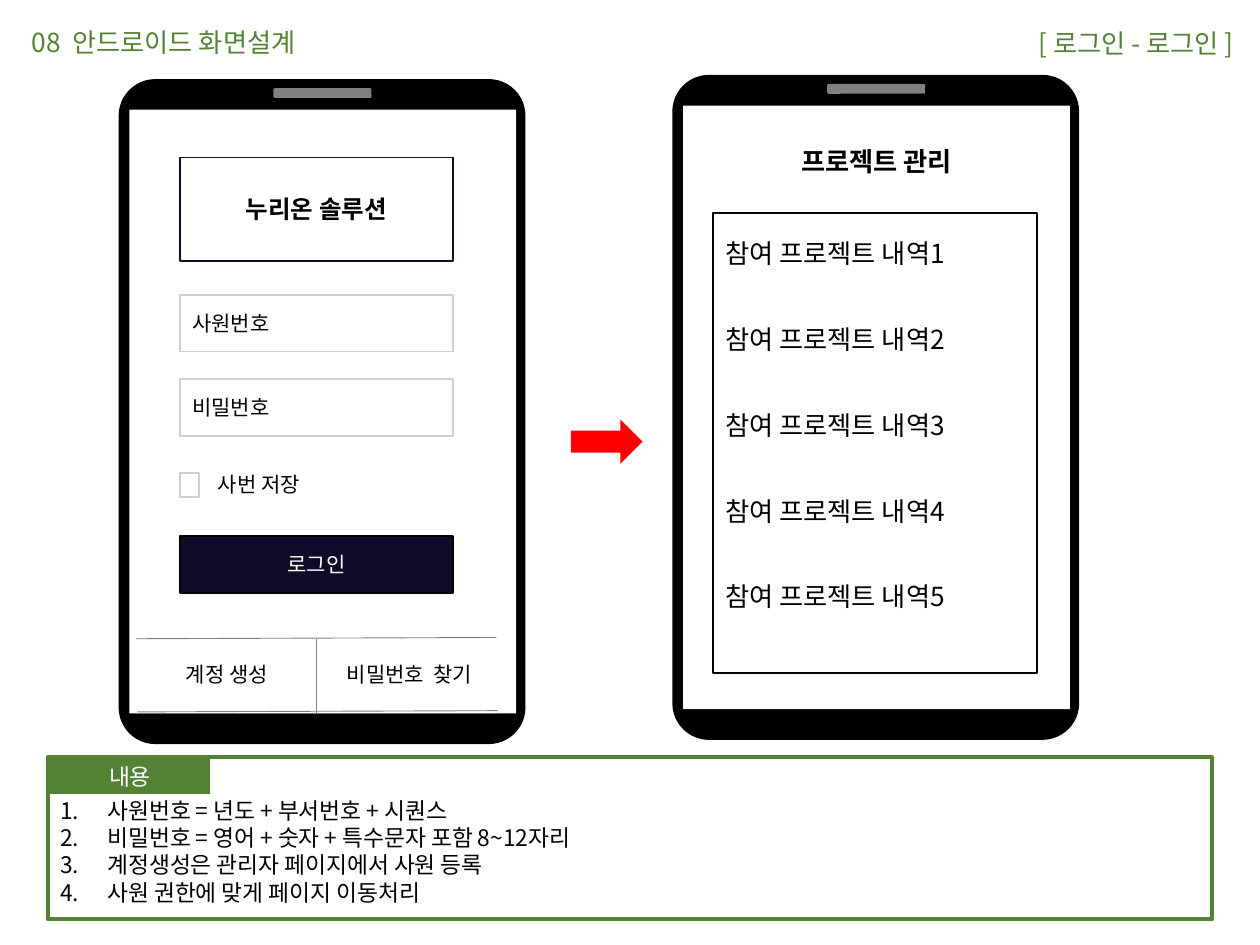
import pptx
import pptx.dml.color
import pptx.enum.shapes
import pptx.enum.text
import pptx.oxml.ns
import pptx.util
from lxml import etree

Pt = pptx.util.Pt
Shapes = pptx.enum.shapes.MSO_SHAPE
Align = pptx.enum.text.PP_ALIGN
Anchor = pptx.enum.text.MSO_ANCHOR
qn = pptx.oxml.ns.qn

NOTO = "Noto Sans CJK KR"
BLACK, WHITE, GREEN = "000000", "FFFFFF", "548235"
NAVY, GRAY, PALE, RED = "0E0C28", "808080", "D0CECE", "FF0000"


def color(value):
    return pptx.dml.color.RGBColor.from_string(value)


class Wireframe:
    def __init__(self, slide, font=NOTO):
        self.slide = slide
        self.font = font

    def fill_text(self, shape, lines, size, ink=BLACK, bold=False, font=None,
                  align=Align.LEFT, anchor=Anchor.MIDDLE, numbered=False, frame_values=None):
        font = font or self.font
        frame = shape.text_frame
        values = {"word_wrap": True, "auto_size": pptx.enum.text.MSO_AUTO_SIZE.NONE,
                  "vertical_anchor": anchor, "margin_left": Pt(7.2), "margin_right": Pt(7.2),
                  "margin_top": Pt(3.6), "margin_bottom": Pt(3.6)}
        values.update(frame_values or {})
        for name, value in values.items():
            setattr(frame, name, value)
        for index, line in enumerate(lines):
            paragraph = frame.paragraphs[0] if index == 0 else frame.add_paragraph()
            paragraph.alignment = align
            if numbered:
                paragraph.line_spacing = Pt(15.6)
                properties = paragraph._p.get_or_add_pPr()
                properties.set("marL", str(Pt(27)))
                properties.set("indent", str(-Pt(27)))
                etree.SubElement(properties, qn("a:buFont"), typeface=font)
                etree.SubElement(properties, qn("a:buAutoNum"), type="arabicPeriod")
            run = paragraph.add_run()
            run.text = line
            for name, value in {"size": Pt(size), "bold": bold, "name": font}.items():
                setattr(run.font, name, value)
            run.font.color.rgb = color(ink)
            etree.SubElement(run._r.get_or_add_rPr(), qn("a:ea"), typeface=font)

    def title(self, text, box, **style):
        shape = self.slide.shapes.title
        for name, value in zip(("left", "top", "width", "height"), box):
            setattr(shape, name, Pt(value))
        self.fill_text(shape, [text], anchor=Anchor.TOP, **style)

    def text(self, text, box, **style):
        shape = self.slide.shapes.add_textbox(*map(Pt, box))
        self.fill_text(shape, [text], anchor=Anchor.TOP, **style)

    def shape(self, box, fill=None, line=None, width=1, kind=Shapes.RECTANGLE,
              lines=(), **style):
        shape = self.slide.shapes.add_shape(kind, *map(Pt, box))
        shape.shadow.inherit = False
        if fill:
            shape.fill.solid()
            shape.fill.fore_color.rgb = color(fill)
        else:
            shape.fill.background()
        if line:
            shape.line.color.rgb = color(line)
            shape.line.width = Pt(width)
        else:
            shape.line.fill.background()
        if lines:
            self.fill_text(shape, lines, **style)
        return shape

    def line(self, start, end, start_shape=None, start_site=2):
        connector = self.slide.shapes.add_connector(
            pptx.enum.shapes.MSO_CONNECTOR.STRAIGHT, *map(Pt, start + end))
        connector.line.color.rgb = color(GRAY)
        connector.line.width = Pt(0.5)
        etree.SubElement(connector._element.spPr, qn("a:effectLst"))
        if start_shape is not None:
            connector.begin_connect(start_shape, start_site)

    def phone(self, left, top):
        body = self.shape((left, top, 232.5, 380), BLACK, kind=Shapes.ROUNDED_RECTANGLE)
        body.adjustments[0] = 0.09
        self.shape((left + 6.2, top + 17.5, 221, 345), WHITE)
        self.shape((left + 88.5, top + 5.2, 56, 5.6), GRAY, kind=Shapes.ROUNDED_RECTANGLE)


def draw_notes(page):
    page.shape((27.3, 432.7, 665.3, 92.6), WHITE, GREEN, 2.25, lines=[
        "사원번호 = 년도 + 부서번호 + 시퀀스",
        "비밀번호 = 영어 + 숫자 + 특수문자 포함 8~12자리",
        "계정생성은 관리자 페이지에서 사원 등록",
        "사원 권한에 맞게 페이지 이동처리",
    ], size=13, numbered=True, anchor=Anchor.TOP, frame_values={"margin_top": Pt(22.5)})
    page.shape((28.5, 433.4, 91.5, 20.2), GREEN, lines=["내용"], size=13, ink=WHITE,
               align=Align.CENTER)


def draw_login(page):
    page.phone(67.8, 45.2)
    label = {"size": 12, "font": "Calibri"}
    centered = {"font": "Calibri", "align": Align.CENTER}
    panel = page.shape((77.8, 74.9, 205.9, 332.6), WHITE)
    left, width, height = 102.8, 156, 32.4
    page.shape((left, 90, width, 59), WHITE, NAVY, lines=["누리온 솔루션"],
               size=14, bold=True, **centered)
    for top, caption in ((168.5, "사원번호"), (216.7, "비밀번호")):
        page.shape((left, top, width, height), WHITE, PALE, lines=[caption], **label)
    page.shape((left, 270.5, 11, 13.5), WHITE, PALE)
    page.text("사번 저장", (117.4, 265.7, 106.6, 24.5), **label)
    page.shape((left, 306.4, width, height), NAVY, BLACK, lines=["로그인"],
               size=12, ink=WHITE, **centered)
    for start_left, top in ((77.8, 365), (78.5, 406.8)):
        page.line((start_left, top), (start_left + 205.9, top - 0.7))
    page.line((180.75, 407.5), (180.75, 365), panel)
    for start_left, box_width, caption in ((88.6, 82, "계정 생성"),
                                           (180.7, 106.6, "비밀번호  찾기")):
        page.text(caption, (start_left, 374.4, box_width, 24.5), size=12, **centered)


def draw_projects(page):
    page.phone(384.2, 42.8)
    page.shape((390.4, 62.6, 221, 59), WHITE, lines=["프로젝트 관리"], size=15,
               bold=True, align=Align.CENTER)
    for index in range(5):
        page.text(f"참여 프로젝트 내역{index + 1}", (407.5, 132.3 + 49 * index, 189.4, 25.2),
                  size=15)
    page.shape((407.5, 121.7, 185, 262.8), None, BLACK)


def main():
    presentation = pptx.Presentation()
    presentation.slide_width = Pt(720)
    presentation.slide_height = Pt(540)
    page = Wireframe(presentation.slides.add_slide(presentation.slide_layouts[5]))
    heading = {"size": 15, "ink": GREEN}
    page.title("08  안드로이드 화면설계", (10.8, 11.5, 211.7, 25.2), **heading)
    draw_notes(page)
    draw_login(page)
    draw_projects(page)
    page.shape((326.2, 239.8, 41, 25.2), RED, kind=Shapes.RIGHT_ARROW)
    page.text("[ 로그인 - 로그인 ]", (424, 12.2, 288, 25.2), align=Align.RIGHT, **heading)
    presentation.save("out.pptx")


if __name__ == "__main__":
    main()
